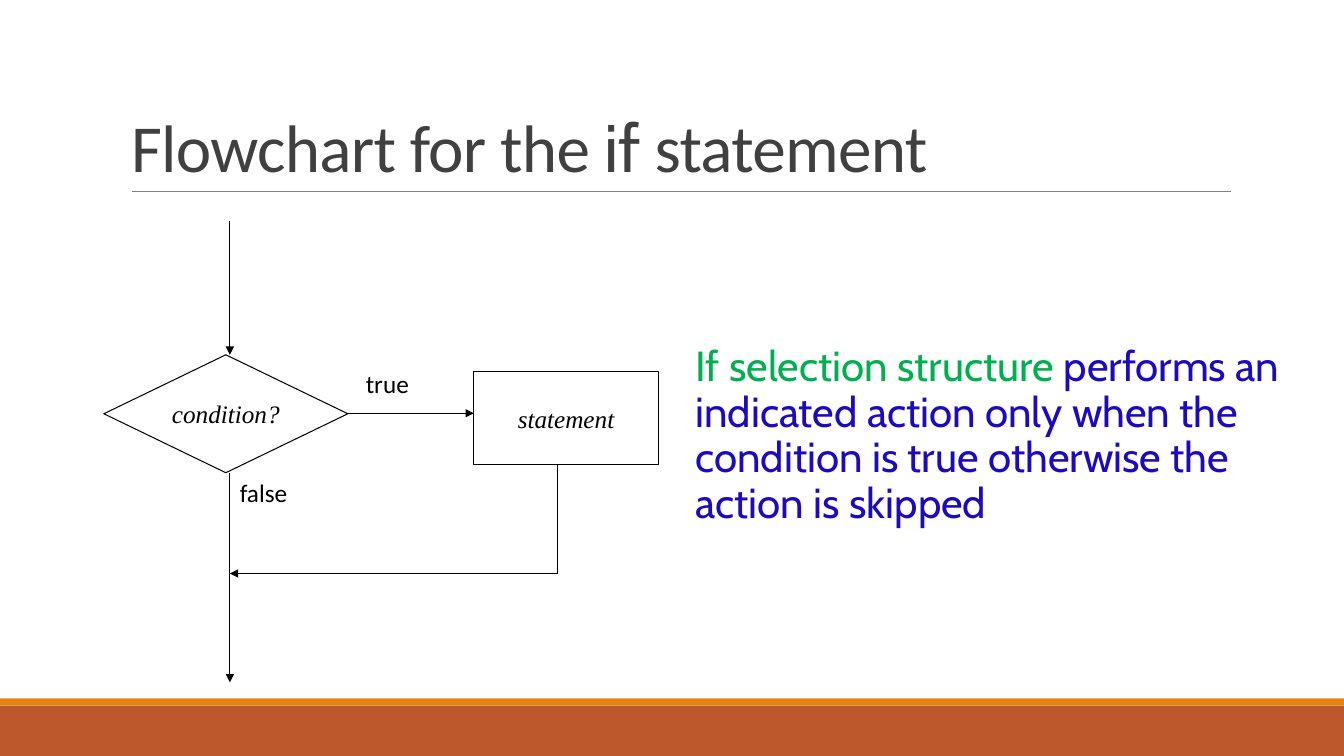
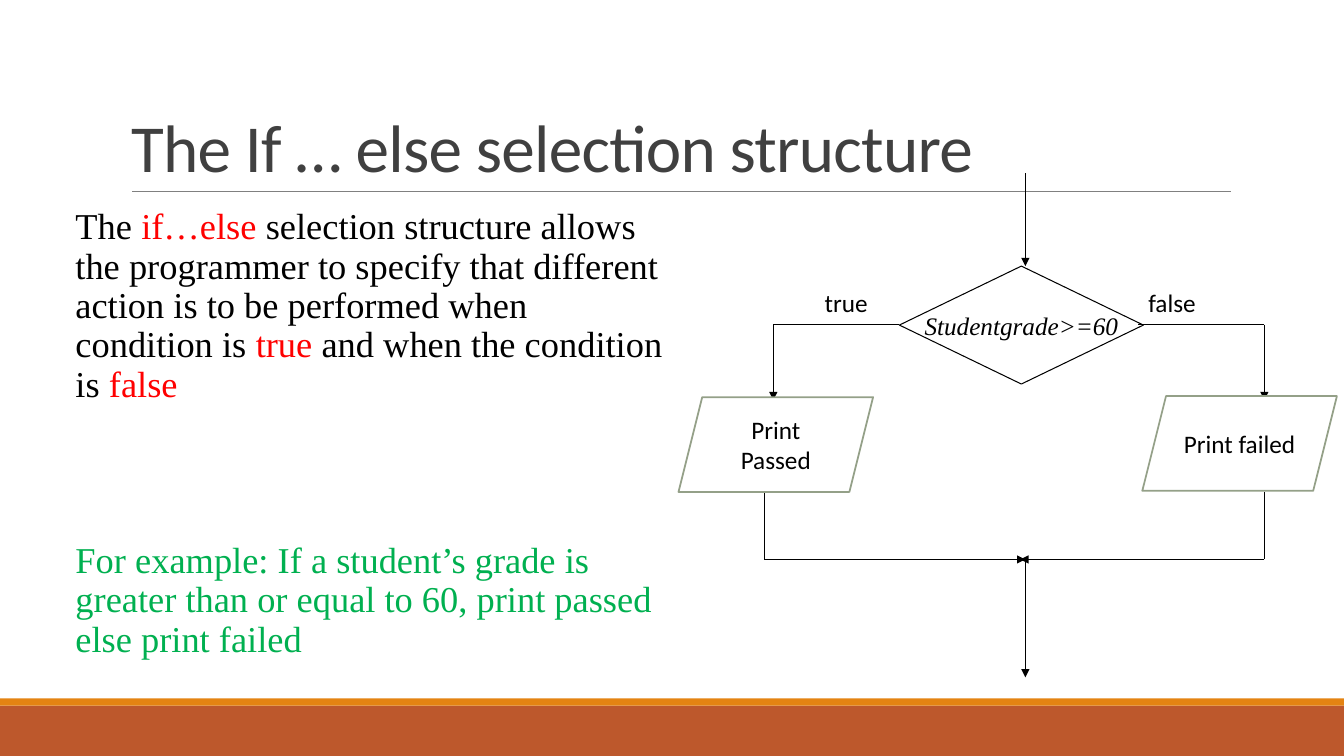
from itertools import pairwise

from lxml.etree import SubElement
from pptx import Presentation
from pptx.dml.color import RGBColor
from pptx.enum.shapes import MSO_CONNECTOR, MSO_SHAPE
from pptx.enum.text import MSO_ANCHOR, MSO_AUTO_SIZE, PP_ALIGN
from pptx.oxml.ns import qn
from pptx.util import Inches, Pt

BLACK = RGBColor(0x00, 0x00, 0x00)
WHITE = RGBColor(0xFF, 0xFF, 0xFF)
RUST = RGBColor(0xBD, 0x58, 0x2C)
ORANGE = RGBColor(0xE4, 0x83, 0x12)
RULE_GRAY = RGBColor(0x80, 0x80, 0x80)
TITLE_GRAY = RGBColor(0x40, 0x40, 0x40)
SAGE = RGBColor(0x94, 0xA0, 0x88)
GREEN = RGBColor(0x00, 0xB0, 0x50)
BLUE = RGBColor(0x1C, 0x0A, 0xC3)
RED = RGBColor(0xFF, 0x00, 0x00)

SANS, SERIF, HUMANIST = "Calibri", "Times New Roman", "Cabin"

BANDS = [((0, 7, 13.33, 0.5), RUST), ((0, 6.93, 13.33, 0.07), ORANGE)]
TITLE_RULE = ((1.31, 1.9), (12.21, 1.9))
TITLE_AREA = (1.2, 0.31, 11, 1.59)

NODE_STYLES = {
    "decision": dict(preset=MSO_SHAPE.FLOWCHART_DECISION, size=(2.42, 1.17), fill=None,
                     line=BLACK, weight=0.75, font=SERIF, italic=True, wrap=False),
    "process": dict(preset=MSO_SHAPE.FLOWCHART_PROCESS, size=(1.83, 0.92), fill=None,
                    line=BLACK, weight=0.75, font=SERIF, italic=True, wrap=False),
    "output": dict(preset=MSO_SHAPE.PARALLELOGRAM, size=(1.93, 0.94), fill=WHITE,
                   line=SAGE, weight=1.25, font=SANS, italic=False, wrap=True),
}
LABEL_SIZE = (0.92, 0.4)

SLIDES = [
    {
        "title": [("Flowchart for the ", SANS), ("if ", HUMANIST), ("statement", SANS)],
        "body": {
            "area": (6.8, 3.38, 5.97, 3.39), "font": HUMANIST, "size": 30, "gap": 0,
            "paragraphs": [[
                ("If selection structure ", GREEN),
                ("performs an indicated action only when the condition is true "
                 "otherwise the action is skipped", BLUE),
            ]],
        },
        "flows": [
            ([(2.28, 2.19), (2.28, 3.52)], True),
            ([(3.45, 4.1), (4.7, 4.1)], True),
            ([(5.53, 4.61), (5.53, 5.69), (2.28, 5.69)], True),
            ([(2.28, 4.69), (2.28, 6.77)], True),
        ],
        "nodes": [("decision", "condition?", 1.03, 3.52), ("process", "statement", 4.7, 3.69)],
        "labels": [("true", 3.53, 3.6), ("false", 2.28, 4.69)],
    },
    {
        "title": [("The If … else selection structure", SANS)],
        "body": {
            "area": (0.65, 2.02, 5.95, 5.04), "font": SERIF, "size": 26, "gap": 96,
            "paragraphs": [
                [
                    ("The ", BLACK), ("if…else ", RED),
                    ("selection structure allows the programmer to specify that different "
                     "action is to be performed when condition is ", BLACK),
                    ("true ", RED), ("and when the condition is ", BLACK), ("false", RED),
                ],
                [("For example: If a student’s grade is greater than or equal to 60, "
                  "print passed else print failed", GREEN)],
            ],
        },
        "flows": [
            ([(10.17, 1.72), (10.17, 2.64)], True),
            ([(8.92, 3.22), (7.67, 3.22), (7.67, 3.97)], True),
            ([(11.29, 3.22), (12.54, 3.22), (12.54, 3.97)], True),
            ([(7.58, 4.88), (7.58, 5.55), (10.17, 5.55)], True),
            ([(12.54, 4.88), (12.54, 5.55), (10.12, 5.55)], True),
            ([(10.17, 5.55), (10.17, 6.72)], True),
        ],
        "nodes": [
            ("decision", "Studentgrade>=60", 8.92, 2.64),
            ("output", "Print Passed", 6.73, 3.94),
            ("output", "Print failed", 11.33, 3.93),
        ],
        "labels": [("true", 8.08, 2.8), ("false", 11.29, 2.8)],
    },
]


def inches(values):
    return [Inches(value) for value in values]


def add_line(slide, start, end, color=BLACK, weight=0.75, arrow=False):
    connector = slide.shapes.add_connector(MSO_CONNECTOR.STRAIGHT, *inches(start + end))
    connector.line.color.rgb = color
    connector.line.width = Pt(weight)
    if arrow:
        SubElement(connector.line._get_or_add_ln(), qn("a:tailEnd"), type="triangle")
    SubElement(connector.element.spPr, qn("a:effectLst"))
    return connector


def add_flow(slide, points, arrow):
    for start, end in pairwise(points):
        add_line(slide, start, end, arrow=arrow and end == points[-1])


def add_band(slide, area, color):
    band = slide.shapes.add_shape(MSO_SHAPE.RECTANGLE, *inches(area))
    band.shadow.inherit = False
    band.fill.solid()
    band.fill.fore_color.rgb = color
    band.line.fill.background()
    return band


def move_frame_to_layout(slide):
    frame = [add_band(slide, area, color) for area, color in BANDS]
    frame.append(add_line(slide, *TITLE_RULE, color=RULE_GRAY, weight=0.5))
    for shape in frame:
        slide.slide_layout.shapes.element.append(shape.element)


def set_title(slide, runs):
    title = slide.shapes.title
    title.left, title.top, title.width, title.height = inches(TITLE_AREA)
    frame = title.text_frame
    frame.auto_size = MSO_AUTO_SIZE.NONE
    frame.vertical_anchor = MSO_ANCHOR.BOTTOM
    paragraph = frame.paragraphs[0]
    paragraph.alignment = PP_ALIGN.LEFT
    paragraph.line_spacing = 0.85
    paragraph.font.size = Pt(48)
    paragraph.font.color.rgb = TITLE_GRAY
    for text, font in runs:
        run = paragraph.add_run()
        run.text = text
        run.font.name = font
        run.font._element.set("spc", "-50")


def add_body(slide, body):
    frame = slide.shapes.add_textbox(*inches(body["area"])).text_frame
    frame.word_wrap = True
    frame.margin_left, frame.margin_right = Inches(0.1), 0
    for index, runs in enumerate(body["paragraphs"]):
        paragraph = frame.add_paragraph() if index else frame.paragraphs[0]
        paragraph.line_spacing = 0.9
        paragraph.space_after = Pt(2)
        if index:
            paragraph.space_before = Pt(body["gap"])
        paragraph.font.name = body["font"]
        paragraph.font.size = Pt(body["size"])
        for text, color in runs:
            run = paragraph.add_run()
            run.text = text
            run.font.color.rgb = color


def set_caption(shape, text, font=SANS, italic=False):
    paragraph = shape.text_frame.paragraphs[0]
    paragraph.text = text
    paragraph.font.name = font
    paragraph.font.size = Pt(18)
    paragraph.font.italic = italic
    paragraph.font.color.rgb = BLACK
    return paragraph


def add_node(slide, kind, text, left, top):
    style = NODE_STYLES[kind]
    node = slide.shapes.add_shape(style["preset"], *inches((left, top) + style["size"]))
    node.shadow.inherit = False
    if style["fill"] is None:
        node.fill.background()
    else:
        node.fill.solid()
        node.fill.fore_color.rgb = style["fill"]
    node.line.color.rgb = style["line"]
    node.line.width = Pt(style["weight"])
    node.text_frame.word_wrap = style["wrap"]
    node.text_frame.vertical_anchor = MSO_ANCHOR.MIDDLE
    set_caption(node, text, style["font"], style["italic"]).alignment = PP_ALIGN.CENTER


def add_label(slide, text, left, top):
    label = slide.shapes.add_textbox(*inches((left, top) + LABEL_SIZE))
    label.text_frame.word_wrap = True
    set_caption(label, text)


def main():
    presentation = Presentation()
    presentation.slide_width = Inches(13.33)
    presentation.slide_height = Inches(7.5)
    layout = presentation.slide_layouts.get_by_name("Title Only")
    for index, content in enumerate(SLIDES):
        slide = presentation.slides.add_slide(layout)
        if index == 0:
            move_frame_to_layout(slide)
        set_title(slide, content["title"])
        add_body(slide, content["body"])
        for points, arrow in content["flows"]:
            add_flow(slide, points, arrow)
        for node in content["nodes"]:
            add_node(slide, *node)
        for label in content["labels"]:
            add_label(slide, *label)
    presentation.save("out.pptx")


if __name__ == "__main__":
    main()
